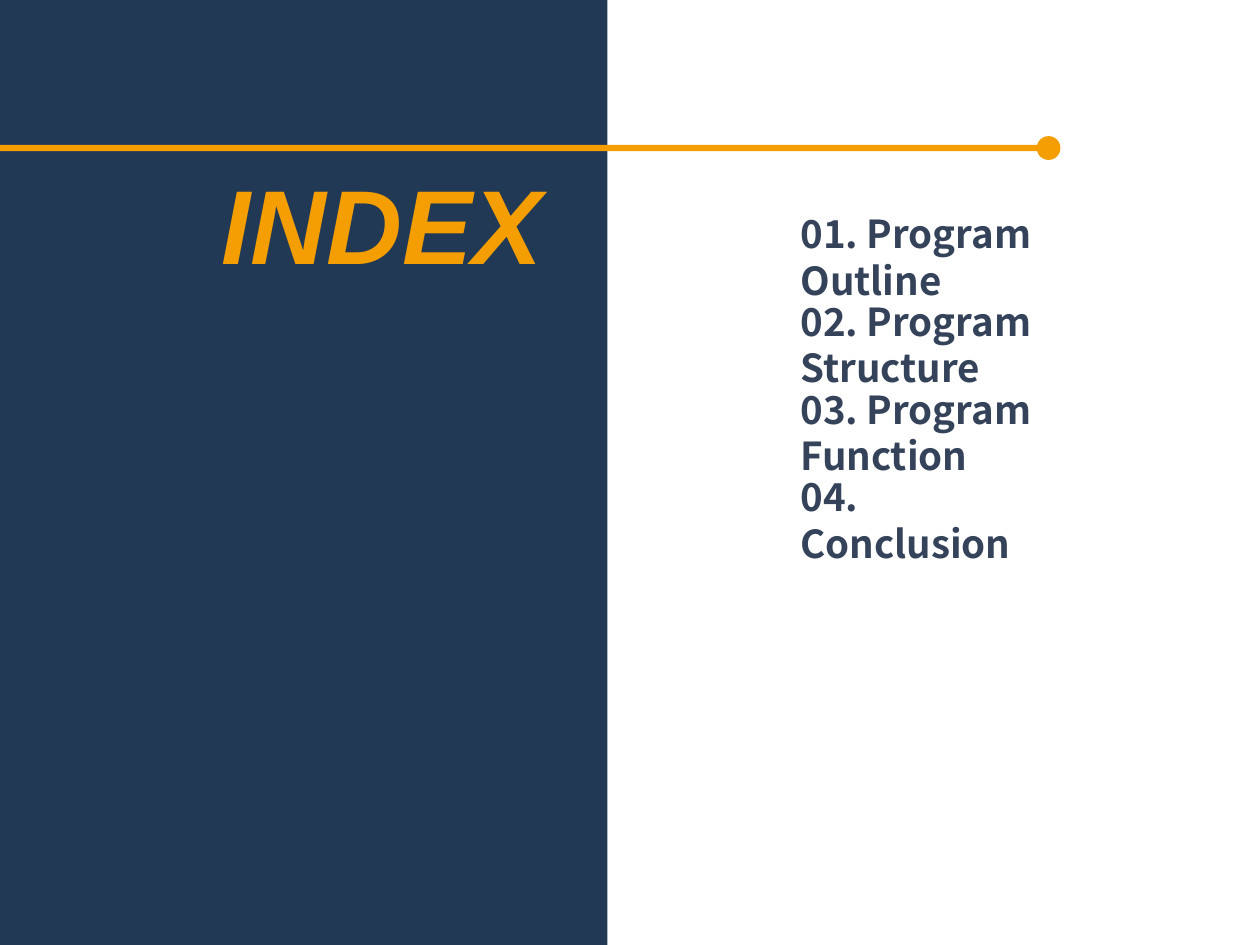
from dataclasses import dataclass

from lxml.etree import SubElement
from pptx import Presentation
from pptx.dml.color import RGBColor
from pptx.enum.shapes import MSO_SHAPE
from pptx.enum.text import MSO_ANCHOR, MSO_AUTO_SIZE, PP_ALIGN
from pptx.oxml.ns import qn
from pptx.util import Pt

NAVY = RGBColor(0x21, 0x39, 0x55)
AMBER = RGBColor(0xF5, 0x9E, 0x01)
SLATE = RGBColor(0x34, 0x42, 0x5A)


@dataclass
class Box:
    left: float
    top: float
    width: float
    height: float


@dataclass
class Style:
    font: str
    size: float
    color: RGBColor
    italic: bool = False


HEAD = Style("Arial", 60, AMBER, True)
ITEM = Style("Noto Sans CJK KR", 22, SLATE)
TOPICS = ["Program Outline", "Program Structure", "Program Function", "Conclusion"]
FIRST = Box(450.2, 116.6, 158, 33.6)
STEP = 50.1


def draw(shapes, kind: MSO_SHAPE, box: Box, color: RGBColor):
    shape = shapes.add_shape(
        kind, Pt(box.left), Pt(box.top), Pt(box.width), Pt(box.height)
    )
    shape.shadow.inherit = False
    shape.fill.solid()
    shape.fill.fore_color.rgb = color
    shape.line.fill.background()
    return shape


def write(holder, text: str, box: Box, style: Style, anchor: MSO_ANCHOR):
    holder.left, holder.top = Pt(box.left), Pt(box.top)
    holder.width, holder.height = Pt(box.width), Pt(box.height)
    frame = holder.text_frame
    frame.text = text
    frame.word_wrap = True
    frame.auto_size = MSO_AUTO_SIZE.NONE
    frame.vertical_anchor = anchor
    line = frame.paragraphs[0]
    line.space_before = Pt(0)
    font = line.runs[0].font
    font.name, font.size = style.font, Pt(style.size)
    font.bold, font.italic = True, style.italic
    font.color.rgb = style.color
    return line


def unmark(line) -> None:
    props = line._p.get_or_add_pPr()
    props.set("marL", "0")
    props.set("indent", "0")
    SubElement(props, qn("a:buNone"))


def main() -> None:
    deck = Presentation()
    deck.slide_width, deck.slide_height = Pt(720), Pt(540)
    slide = deck.slides.add_slide(deck.slide_layouts.get_by_name("Comparison"))
    shapes = slide.shapes

    panel = draw(shapes, MSO_SHAPE.RECTANGLE, Box(-1.4, 0, 348.5, 540), NAVY)
    rule = shapes.add_group_shape()
    draw(rule.shapes, MSO_SHAPE.RECTANGLE, Box(-1.4, 82.8, 594, 3.6), AMBER)
    draw(rule.shapes, MSO_SHAPE.OVAL, Box(592.4, 77.8, 13.6, 13.6), AMBER)
    tree = panel._element.getparent()
    for spot, back in enumerate((panel, rule), 2):
        tree.insert(spot, back._element)

    title = write(
        shapes.title, "INDEX", Box(82.1, 88.6, 272.2, 90.7), HEAD, MSO_ANCHOR.MIDDLE
    )
    title.alignment = PP_ALIGN.CENTER
    title.line_spacing = 0.8

    slots = [item for item in slide.placeholders if item.placeholder_format.idx in range(1, 5)]
    for row, (slot, topic) in enumerate(zip(slots, TOPICS)):
        box = Box(FIRST.left, FIRST.top + row * STEP, FIRST.width, FIRST.height)
        line = write(slot, f"{row + 1:02}. {topic}", box, ITEM, MSO_ANCHOR.TOP)
        unmark(line)

    deck.save("out.pptx")


if __name__ == "__main__":
    main()
